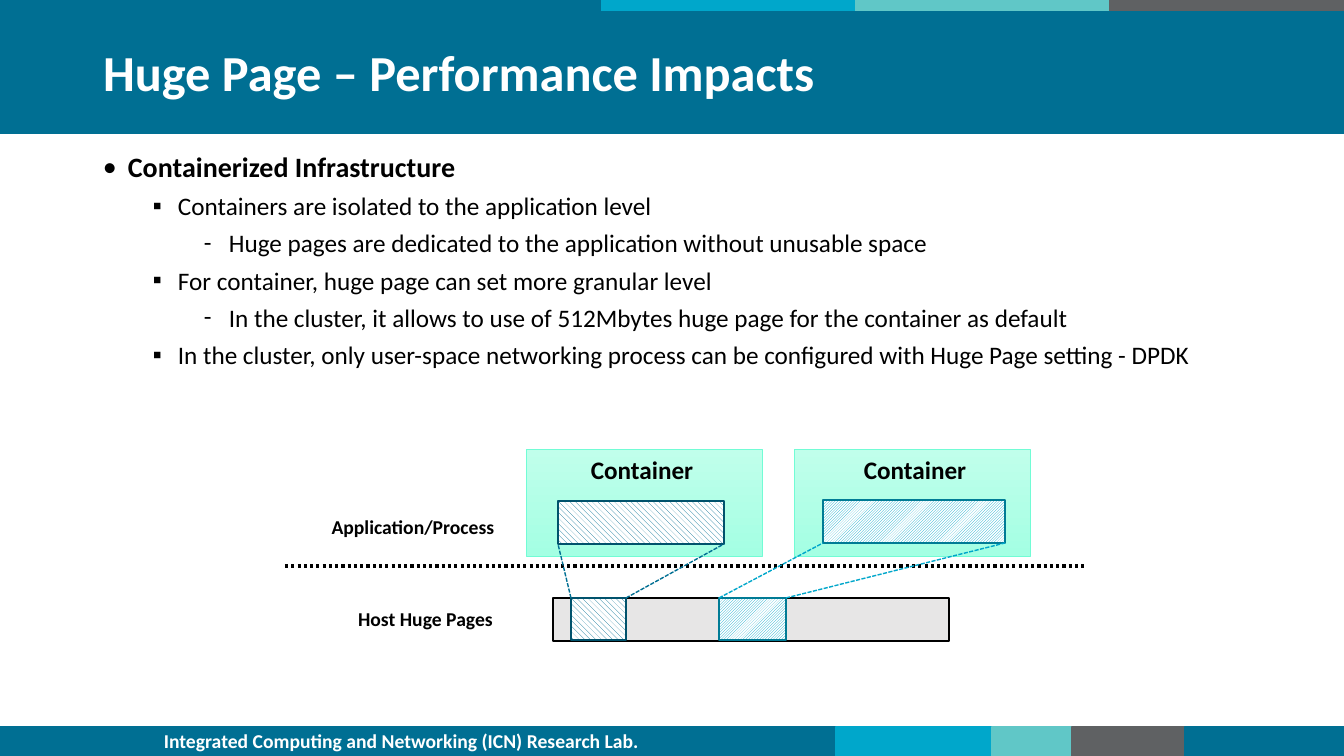
from dataclasses import dataclass
from itertools import pairwise

from lxml.etree import SubElement
from pptx import Presentation
from pptx.dml.color import RGBColor
from pptx.enum.dml import MSO_LINE as Dash, MSO_PATTERN as Pattern
from pptx.enum.shapes import MSO_CONNECTOR as Connector, MSO_SHAPE as Preset
from pptx.enum.text import MSO_ANCHOR as Anchor, MSO_AUTO_SIZE as AutoSize, PP_ALIGN as Align
from pptx.oxml.ns import qn
from pptx.util import Pt


@dataclass(frozen=True)
class Theme:
    font: str = "Calibri"
    ink: str = "000000"
    paper: str = "FFFFFF"
    teal: str = "006F93"
    cyan: str = "00A7CB"
    mint: str = "60C7C7"
    slate: str = "5F6163"
    container_top: str = "C0FFEB"
    container_bottom: str = "A4FFE3"
    container_edge: str = "72FCD5"
    memory: str = "E7E6E6"
    first_edge: str = "00526C"
    second_edge: str = "007B95"
    title_size: int = 36
    heading_size: int = 20
    text_size: int = 18
    label_size: int = 14


@dataclass(frozen=True)
class Box:
    x: int
    y: int
    w: int
    h: int

    def inner(self, x, y, w, h):
        return Box(self.x + x, self.y + y, w, h)

    def emu(self):
        return [px(v) for v in (self.x, self.y, self.w, self.h)]


@dataclass(frozen=True)
class Container:
    x: int
    name_x: int
    page: tuple
    slice_x: int
    slice_w: int
    pattern: Pattern
    color: str
    edge: str


THEME = Theme()
PAGE = Box(0, 0, 1344, 756)
BULLETS = [
    (0, "Containerized Infrastructure"),
    (1, "Containers are isolated to the application level"),
    (2, "Huge pages are dedicated to the application without unusable space"),
    (1, "For container, huge page can set more granular level"),
    (2, "In the cluster, it allows to use of 512Mbytes huge page for the container as default"),
    (1, "In the cluster, only user-space networking process can be configured with Huge Page setting - DPDK"),
]
MARKS = "•▪-"
CONTAINERS = [
    Container(241, 47, (32, 52, 166, 43), 286, 55,
              Pattern.WIDE_DOWNWARD_DIAGONAL, THEME.teal, THEME.first_edge),
    Container(509, 52, (29, 51, 182, 43), 434, 67,
              Pattern.LIGHT_UPWARD_DIAGONAL, THEME.cyan, THEME.second_edge),
]


def px(length):
    return round(length * 914400 / 100.8)


def rgb(color):
    return RGBColor.from_string(color)


def add_rect(slide, box, edge, fill=None, weight=1):
    rect = slide.shapes.add_shape(Preset.RECTANGLE, *box.emu())
    rect.shadow.inherit = False
    rect.line.color.rgb = rgb(edge)
    rect.line.width = Pt(weight)
    if fill:
        rect.fill.solid()
        rect.fill.fore_color.rgb = rgb(fill)
    return rect


def add_hatched(slide, box, container):
    fill = add_rect(slide, box, container.edge).fill
    fill.patterned()
    fill.pattern = container.pattern
    fill.fore_color.rgb = rgb(container.color)
    fill.back_color.rgb = rgb(THEME.paper)


def add_line(slide, start, end, color, dash, weight=1):
    line = slide.shapes.add_connector(Connector.STRAIGHT, *map(px, start + end))
    line.line.color.rgb = rgb(color)
    line.line.width = Pt(weight)
    line.line.dash_style = dash
    SubElement(line.element.spPr, qn("a:effectLst"))


def style_runs(paragraph, size, color, bold):
    for run in paragraph.runs:
        run.font.name = THEME.font
        run.font.size = Pt(size)
        run.font.bold = bold
        run.font.color.rgb = rgb(color)


def add_label(slide, box, wording, size, color=THEME.ink):
    frame = slide.shapes.add_textbox(*box.emu()).text_frame
    frame.text = wording
    frame.word_wrap = False
    frame.auto_size = AutoSize.SHAPE_TO_FIT_TEXT
    paragraph = frame.paragraphs[0]
    paragraph.alignment = Align.CENTER
    style_runs(paragraph, size, color, True)


def add_strip(slide, box, stops):
    colors = (THEME.teal, THEME.cyan, THEME.mint, THEME.slate, THEME.teal)
    for (left, right), color in zip(pairwise(stops), colors):
        add_rect(slide, box.inner(left, 0, right - left, box.h), color, color)


def add_header(slide, box):
    add_strip(slide, box.inner(0, -1, box.w, 13), (0, 602, 856, 1110, box.w))
    add_rect(slide, box.inner(0, 12, box.w, 121), THEME.teal, THEME.teal)
    title = slide.shapes.title
    title.element.getparent().append(title.element)
    title.left, title.top, title.width, title.height = box.inner(93, 32, 1159, 86).emu()
    frame = title.text_frame
    frame.text = "Huge Page – Performance Impacts"
    frame.word_wrap = True
    frame.vertical_anchor = Anchor.MIDDLE
    heading = frame.paragraphs[0]
    heading.alignment = Align.LEFT
    heading.line_spacing = 0.9
    style_runs(heading, THEME.title_size, THEME.paper, True)


def add_footer(slide, box):
    add_strip(slide, box, (0, 836, 992, 1072, 1185, box.w))
    add_label(slide, box.inner(140, -3, 523, 34),
              "Integrated Computing and Networking (ICN) Research Lab.",
              THEME.label_size, THEME.paper)


def add_bullets(slide, box):
    frame = slide.shapes.add_textbox(*box.emu()).text_frame
    frame.word_wrap = True
    frame.text = "\n".join(wording for _, wording in BULLETS)
    for paragraph, (level, _) in zip(frame.paragraphs, BULLETS):
        top = level == 0
        paragraph.level = level
        paragraph.space_before = Pt(10 if top else 5)
        style_runs(paragraph, THEME.heading_size if top else THEME.text_size, THEME.ink, top)
        properties = paragraph._p.get_or_add_pPr()
        properties.set("marL", str(px(25 + 50 * level + level // 2)))
        properties.set("indent", str(px(-25)))
        SubElement(properties, qn("a:buFont"), typeface=THEME.font)
        SubElement(properties, qn("a:buChar"), char=MARKS[level])


def add_container(slide, box, container):
    rect = add_rect(slide, box, THEME.container_edge, weight=0.5)
    rect.fill.gradient()
    rect.fill.gradient_angle = 270
    for stop, color in zip(rect.fill.gradient_stops, (THEME.container_top, THEME.container_bottom)):
        stop.color.rgb = rgb(color)
    add_label(slide, box.inner(container.name_x, 0, 138, 40), "Container", THEME.text_size)
    page = box.inner(*container.page)
    add_hatched(slide, page, container)
    return page


def add_memory_map(slide, box):
    add_label(slide, box.inner(24, 61, 208, 34), "Application/Process", THEME.label_size)
    add_label(slide, box.inner(49, 153, 183, 34), "Host Huge Pages", THEME.label_size)
    host = box.inner(268, 149, 396, 43)
    add_rect(slide, host, THEME.ink, THEME.memory)
    pages = [add_container(slide, box.inner(c.x, 0, 236, 107), c) for c in CONTAINERS]
    add_line(slide, (box.x, box.y + 117), (box.x + box.w, box.y + 117),
             THEME.ink, Dash.ROUND_DOT, 2.25)
    for container, page in zip(CONTAINERS, pages):
        part = Box(box.x + container.slice_x, host.y, container.slice_w, 42)
        add_hatched(slide, part, container)
        for side in (0, 1):
            add_line(slide, (part.x + side * part.w, part.y),
                     (page.x + side * page.w, page.y + page.h), container.color, Dash.SQUARE_DOT)


def main():
    deck = Presentation()
    deck.slide_width, deck.slide_height = px(PAGE.w), px(PAGE.h)
    slide = deck.slides.add_slide(deck.slide_layouts[5])
    add_header(slide, PAGE.inner(0, 0, PAGE.w, 133))
    add_footer(slide, PAGE.inner(0, 727, PAGE.w, 29))
    add_bullets(slide, PAGE.inner(93, 145, 1159, 579))
    add_memory_map(slide, PAGE.inner(285, 449, 800, 192))
    deck.save("out.pptx")


if __name__ == "__main__":
    main()
